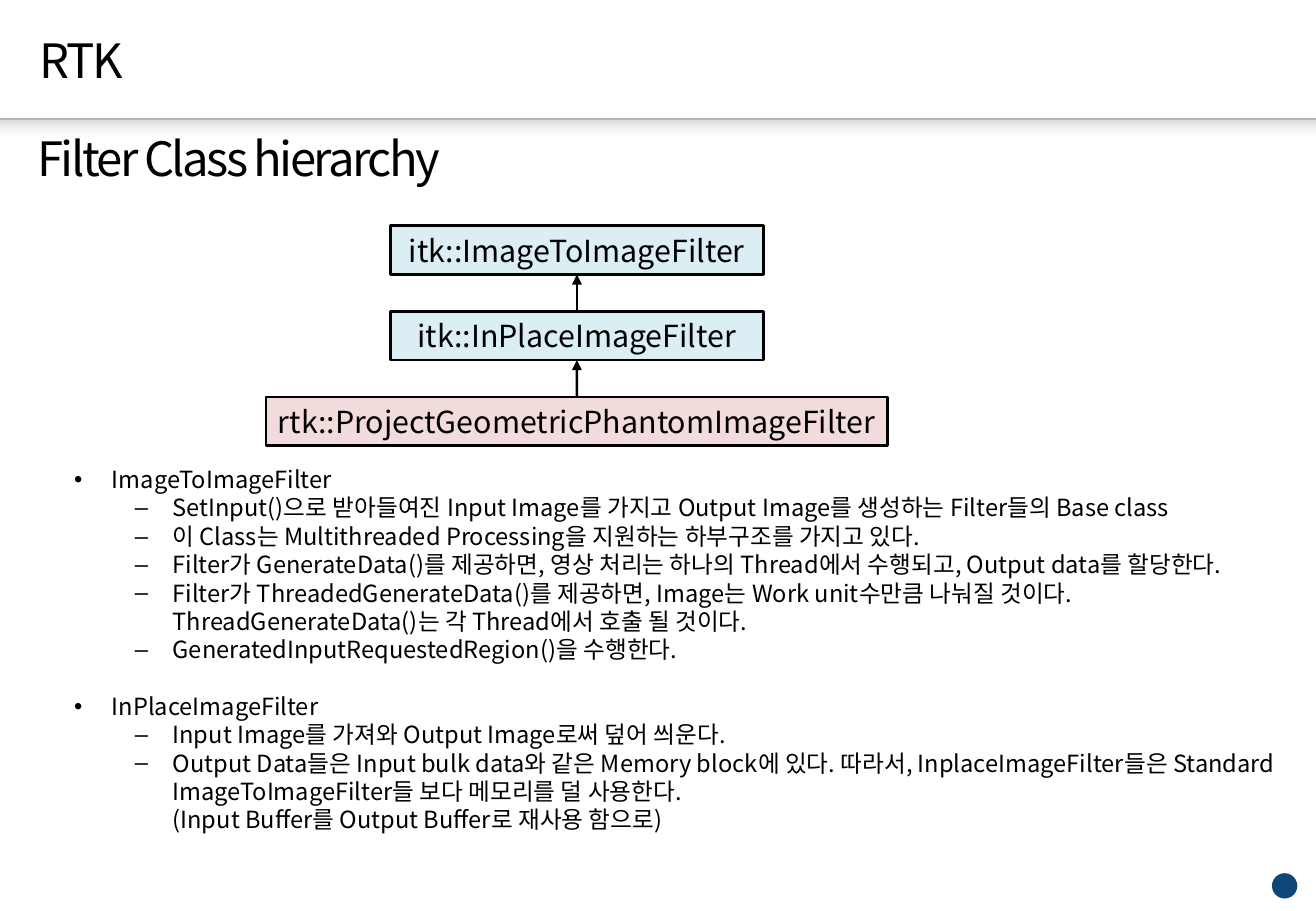
from dataclasses import dataclass

from lxml import etree
from pptx import Presentation
from pptx.dml.color import RGBColor
from pptx.enum.shapes import MSO_CONNECTOR, MSO_SHAPE
from pptx.enum.text import MSO_ANCHOR, PP_ALIGN
from pptx.oxml.ns import qn
from pptx.util import Cm, Pt

RECTANGLE, OVAL = MSO_SHAPE.RECTANGLE, MSO_SHAPE.OVAL
STRAIGHT = MSO_CONNECTOR.STRAIGHT
TOP, MIDDLE = MSO_ANCHOR.TOP, MSO_ANCHOR.MIDDLE
LEFT, CENTER = PP_ALIGN.LEFT, PP_ALIGN.CENTER
TOP_SITE, BOTTOM_SITE = 0, 2
TITLE_ONLY = 5


@dataclass(frozen=True)
class Theme:
    font: str = "Noto Sans CJK KR"
    ink: str = "000000"
    itk_fill: str = "DBEEF4"
    rtk_fill: str = "F2DCDB"
    badge: str = "104577"
    rule: str = "BFBFBF"
    shade_top: str = "A6A6A6"
    shade_bottom: str = "E1E8F5"
    title_size: float = 28
    class_size: float = 18
    body_size: float = 14
    line_height: float = 1.2
    outline: float = 1.5


THEME = Theme()

# Parent first; each class inherits from the one before it.
CLASSES = [
    ("itk::ImageToImageFilter", 7.8, THEME.itk_fill),
    ("itk::InPlaceImageFilter", 7.8, THEME.itk_fill),
    ("rtk::ProjectGeometricPhantomImageFilter", 13, THEME.rtk_fill),
]

NOTES = {
    "ImageToImageFilter": [
        "SetInput()으로 받아들여진 Input Image를 가지고 Output Image를 생성하는 Filter들의 Base class",
        "이 Class는 Multithreaded Processing을 지원하는 하부구조를 가지고 있다.",
        "Filter가 GenerateData()를 제공하면, 영상 처리는 하나의 Thread에서 수행되고, "
        "Output data를 할당한다.",
        "Filter가 ThreadedGenerateData()를 제공하면, Image는 Work unit수만큼 나눠질 것이다.\v"
        "ThreadGenerateData()는 각 Thread에서 호출 될 것이다.",
        "GeneratedInputRequestedRegion()을 수행한다.",
    ],
    "InPlaceImageFilter": [
        "Input Image를 가져와 Output Image로써 덮어 씌운다.",
        "Output Data들은 Input bulk data와 같은 Memory block에 있다. 따라서, InplaceImageFilter들은 "
        "Standard ImageToImageFilter들 보다 메모리를 덜 사용한다. \v"
        "(Input Buffer를 Output Buffer로 재사용 함으로)",
    ],
}


def color(value):
    return RGBColor.from_string(value)


def format_para(para, size, align=LEFT, tracking=0):
    para.alignment = align
    para.line_spacing = Pt(size * THEME.line_height)
    for span in para.runs:
        span.font.size = Pt(size)
        span.font.name = THEME.font
        span.font.color.rgb = color(THEME.ink)
        properties = span.font._element
        etree.SubElement(properties, qn("a:ea")).set("typeface", THEME.font)
        if tracking:
            properties.set("spc", str(round(tracking * 100)))


def set_bullet(para, symbol, margin, hanging):
    properties = para._p.get_or_add_pPr()
    properties.set("marL", str(Cm(margin)))
    properties.set("indent", str(-Cm(hanging)))
    etree.SubElement(properties, qn("a:buFont")).set("typeface", "Arial")
    etree.SubElement(properties, qn("a:buChar")).set("char", symbol)


def add_plain_shape(page, kind, left, top, width, height):
    shape = page.shapes.add_shape(kind, Cm(left), Cm(top), Cm(width), Cm(height))
    shape.shadow.inherit = False
    shape.line.fill.background()
    return shape


def add_line(page, begin, end, line_color, weight):
    line = page.shapes.add_connector(STRAIGHT, *map(Cm, begin + end))
    line.line.color.rgb = color(line_color)
    line.line.width = Pt(weight)
    etree.SubElement(line._element.spPr, qn("a:effectLst"))
    return line


def add_header_rule(page, top, width):
    """Draw the line below the title and the shade that fades out under it."""
    add_line(page, (0, top), (width, top), THEME.rule, 0.75)
    shade = add_plain_shape(page, RECTANGLE, 0, top, width, 0.36)
    shade.fill.gradient()
    shade.fill.gradient_angle = 270
    stops = zip(shade.fill.gradient_stops, (THEME.shade_top, THEME.shade_bottom))
    for stop, value in stops:
        stop.color.rgb = color(value)
    tints = shade._element.spPr.iter(qn("a:srgbClr"))
    for tint, opacity in zip(list(tints), (49, 0)):
        etree.SubElement(tint, qn("a:alpha")).set("val", str(opacity * 1000))


def add_badge(page, left, top, size):
    badge = add_plain_shape(page, OVAL, left, top, size, size)
    badge.fill.solid()
    badge.fill.fore_color.rgb = color(THEME.badge)


def fill_heading(box, text, anchor):
    frame = box.text_frame
    frame.text = text
    frame.word_wrap = True
    frame.vertical_anchor = anchor
    format_para(frame.paragraphs[0], THEME.title_size, tracking=-1.5)


def add_title(page, left, top, width, height):
    title = page.shapes.title
    title.left, title.top, title.width, title.height = map(Cm, (left, top, width, height))
    fill_heading(title, "RTK", MIDDLE)


def add_subtitle(page, left, top, width, height):
    box = page.shapes.add_textbox(*map(Cm, (left, top, width, height)))
    fill_heading(box, "Filter Class hierarchy", TOP)


def add_class_box(page, name, fill, left, top, width, height):
    box = add_plain_shape(page, RECTANGLE, left, top, width, height)
    box.fill.solid()
    box.fill.fore_color.rgb = color(fill)
    box.line.color.rgb = color(THEME.ink)
    box.line.width = Pt(THEME.outline)
    box.text_frame.text = name
    box.text_frame.word_wrap = False
    box.text_frame.vertical_anchor = MIDDLE
    format_para(box.text_frame.paragraphs[0], THEME.class_size, CENTER)
    return box


def add_hierarchy(page, left, top, width, height):
    """Stack the classes on one axis, with an arrow from each to its parent."""
    box_height = 1.02
    pitch = (height - box_height) / (len(CLASSES) - 1)
    boxes = [
        add_class_box(page, name, fill, left + (width - box_width) / 2,
                      top + row * pitch, box_width, box_height)
        for row, (name, box_width, fill) in enumerate(CLASSES)
    ]
    for parent, child in zip(boxes, boxes[1:]):
        arrow = add_line(page, (0, 0), (0, 0), THEME.ink, THEME.outline)
        arrow.begin_connect(child, TOP_SITE)
        arrow.end_connect(parent, BOTTOM_SITE)
        etree.SubElement(arrow.line._get_or_add_ln(), qn("a:tailEnd")).set("type", "triangle")


def add_notes_text(page, left, top, width, height):
    frame = page.shapes.add_textbox(*map(Cm, (left, top, width, height))).text_frame
    frame.word_wrap = True
    lines = [(level, text) for heading, points in NOTES.items()
             for level, text in [(0, heading)] + [(1, point) for point in points]]
    for index, (level, text) in enumerate(lines):
        para = frame.add_paragraph() if index else frame.paragraphs[0]
        para.text = text
        para.level = level
        format_para(para, THEME.body_size)
        if index and level == 0:
            para.space_before = Pt(THEME.body_size * THEME.line_height)
        set_bullet(para, "•–"[level], 0.79 + 1.27 * level, 0.79)


def main():
    deck = Presentation()
    deck.slide_width, deck.slide_height = Cm(27.51), Cm(19.05)
    page = deck.slides.add_slide(deck.slide_layouts[TITLE_ONLY])
    add_badge(page, 26.59, 18.26, 0.53)
    add_header_rule(page, 2.49, 27.51)
    add_title(page, 0.58, 0.43, 24.77, 1.65)
    add_subtitle(page, 0.53, 2.59, 13.03, 1.45)
    add_hierarchy(page, 5.56, 4.72, 13, 4.6)
    add_notes_text(page, 1.3, 9.6, 25.65, 8.03)
    deck.save("out.pptx")


if __name__ == "__main__":
    main()
